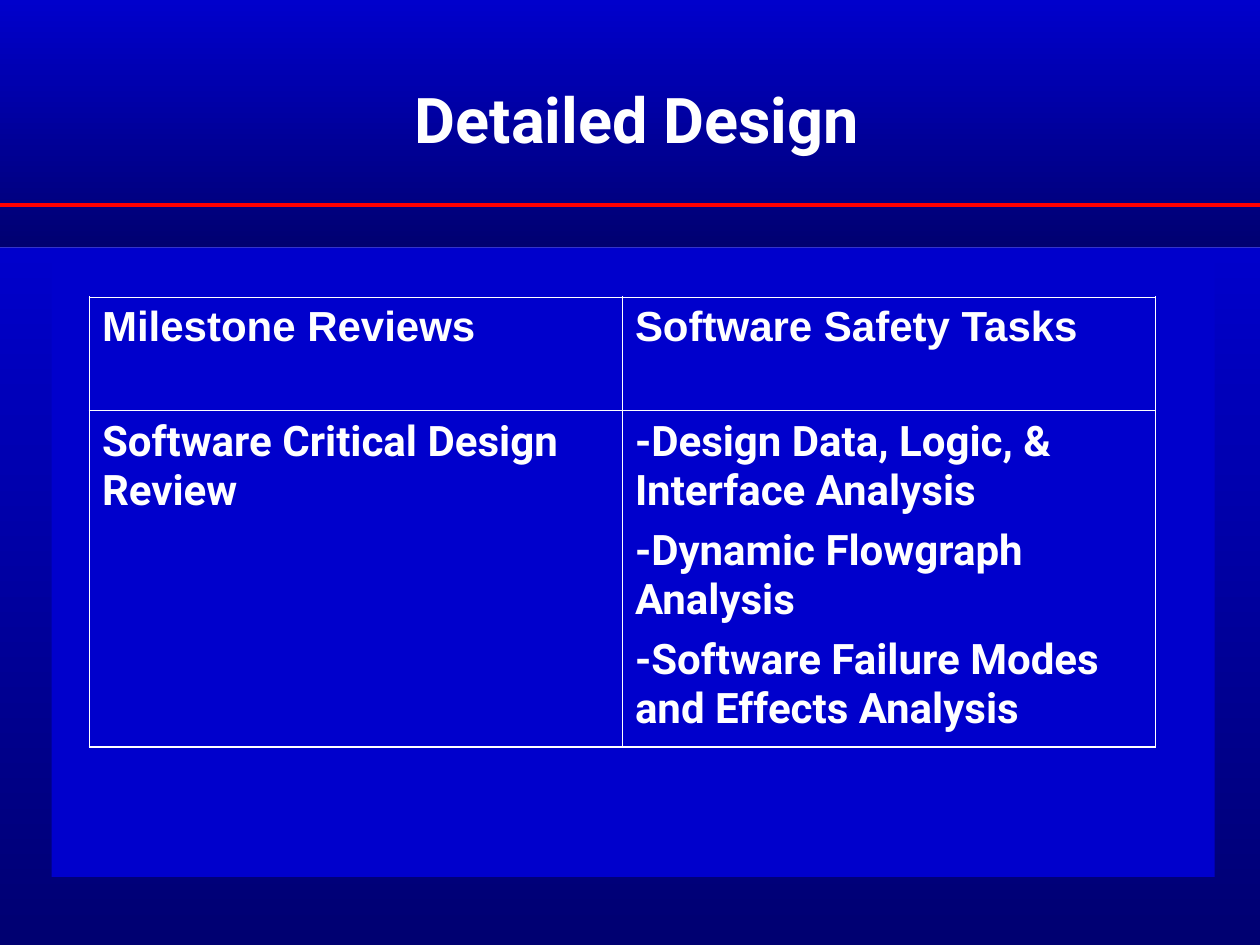
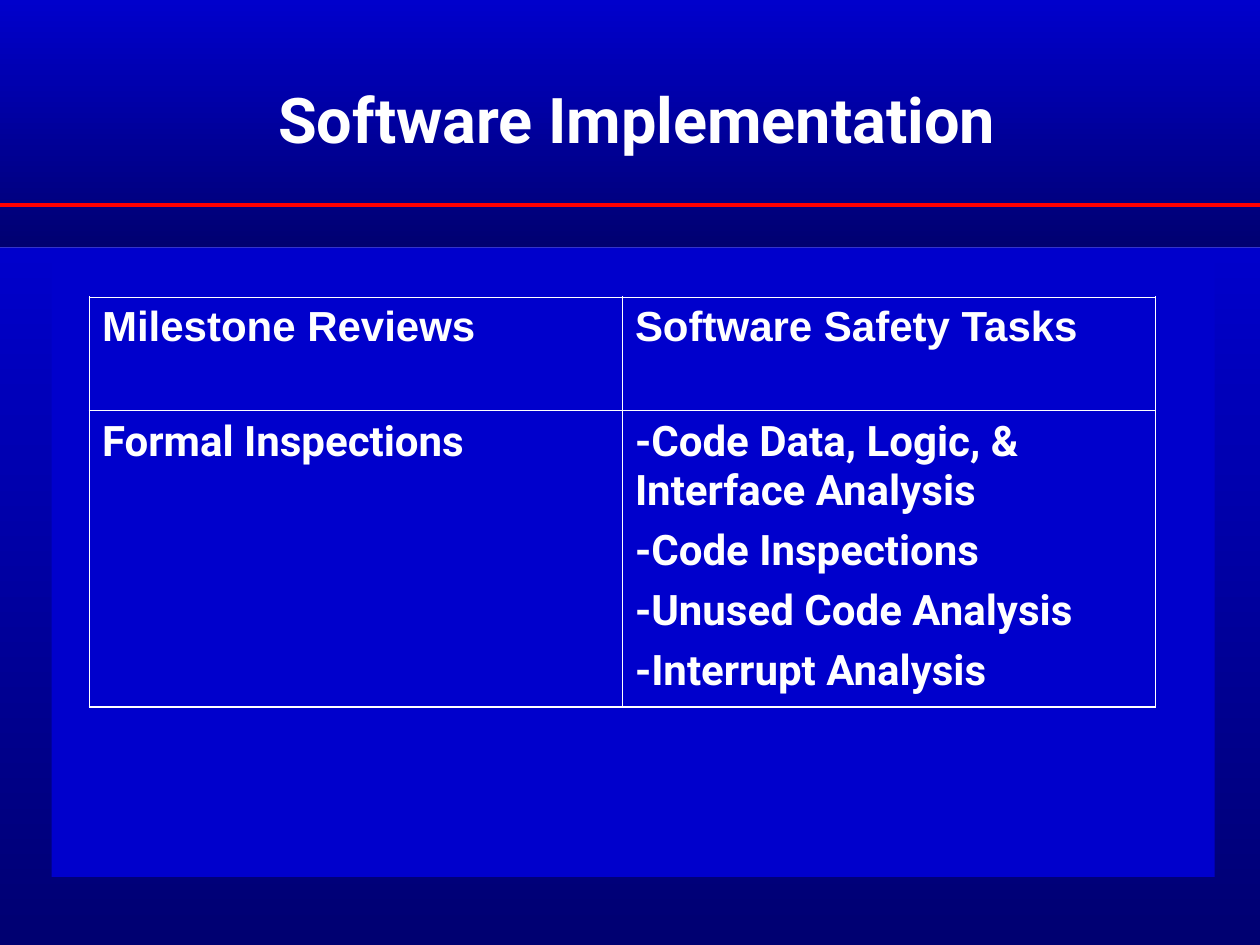
from dataclasses import dataclass

from lxml.etree import SubElement
from pptx import Presentation
from pptx.dml.color import RGBColor as Rgb
from pptx.enum.shapes import MSO_CONNECTOR as Connector, MSO_SHAPE as Preset
from pptx.enum.text import MSO_ANCHOR as Anchor, MSO_AUTO_SIZE as AutoSize, PP_ALIGN as Align
from pptx.oxml.ns import qn
from pptx.util import Inches, Pt

TITLE_ONLY = 5
COLUMNS, ROWS = 100, 75


@dataclass(frozen=True)
class Theme:
    base: str = "3333CC"
    bright: str = "0000CC"
    dark: str = "000071"
    rule: str = "FF0000"
    text: str = "FFFFFF"
    main_font: str = "Roboto"
    heading_font: str = "Arial"
    title_size: float = 36
    table_size: float = 24
    task_gap: float = 6
    rule_width: float = 2.25
    outer_border: float = 1.08
    inner_border: float = 0.45


def assign(target, values):
    for attribute, value in values.items():
        setattr(target, attribute, value)


class Deck:
    def __init__(self, theme):
        self.theme = theme
        self.deck = Presentation()
        assign(self.deck, {"slide_width": Inches(10), "slide_height": Inches(7.5)})
        self.layout = self.deck.slide_layouts[TITLE_ONLY]
        self.slide = None

    def grid(self, *lengths):
        """Turn alternating column and row counts into slide lengths."""
        units = (self.deck.slide_width / COLUMNS, self.deck.slide_height / ROWS)
        return [round(n * units[i % 2]) for i, n in enumerate(lengths)]

    def share(self, shape):
        """Move a shape to the layout, so that every slide shows it."""
        tree = self.layout.shapes.element
        shape.element.xpath(".//p:cNvPr")[0].set("id", str(len(tree) + 10))
        tree.append(shape.element)

    def band(self, place, *colors):
        """Draw a shared rectangle, graded downwards if it has two colours."""
        band = self.slide.shapes.add_shape(Preset.RECTANGLE, *self.grid(*place))
        band.shadow.inherit = False
        band.line.fill.background()
        if len(colors) == 1:
            band.fill.solid()
            band.fill.fore_color.rgb = Rgb.from_string(colors[0])
        else:
            band.fill.gradient()
            band.fill.gradient_angle = 270
            for stop, color in zip(band.fill.gradient_stops, colors):
                stop.color.rgb = Rgb.from_string(color)
        self.share(band)

    def rule(self, row):
        rule = self.slide.shapes.add_connector(
            Connector.STRAIGHT, *self.grid(0, row, COLUMNS, row))
        rule.line.color.rgb = Rgb.from_string(self.theme.rule)
        rule.line.width = Pt(self.theme.rule_width)
        SubElement(rule.element.spPr, qn("a:effectLst"))
        self.share(rule)

    def backdrop(self):
        theme = self.theme
        fill = self.layout.background.fill
        fill.solid()
        fill.fore_color.rgb = Rgb.from_string(theme.base)
        self.band((0, 0, COLUMNS, 19.6), theme.bright, theme.dark)
        self.band((0, 19.7, COLUMNS, 55.3), theme.bright, theme.dark)
        self.band((4.1, 19.8, 92.3, 49.8), theme.bright)
        self.rule(16.3)

    def add_slide(self, title):
        self.slide = self.deck.slides.add_slide(self.layout)
        if len(self.deck.slides) == 1:
            self.backdrop()
        self.title(title)

    def set_text(self, paragraph, text, font, size):
        paragraph.text = text
        assign(paragraph.font, {"name": font, "size": Pt(size), "bold": True})
        paragraph.font.color.rgb = Rgb.from_string(self.theme.text)

    def title(self, text):
        heading = self.slide.shapes.title
        place = self.grid(17.1, 3.5, 66.9, 11.7)
        assign(heading, dict(zip(("left", "top", "width", "height"), place)))
        frame = heading.text_frame
        assign(frame, {"vertical_anchor": Anchor.MIDDLE, "word_wrap": True,
                       "auto_size": AutoSize.NONE})
        paragraph = frame.paragraphs[0]
        self.set_text(paragraph, text, self.theme.main_font, self.theme.title_size)
        paragraph.alignment = Align.CENTER

    def borders(self, cell, outer_sides):
        properties = cell._tc.get_or_add_tcPr()
        for side in "LRTB":
            width = self.theme.outer_border if side in outer_sides else self.theme.inner_border
            edge = SubElement(properties, qn(f"a:ln{side}"), w=str(Pt(width)))
            fill = SubElement(edge, qn("a:solidFill"))
            SubElement(fill, qn("a:srgbClr"), val=self.theme.text)

    def review_table(self, cells, heights):
        """Fill a table from rows of cells, each a list of paragraphs."""
        table = self.slide.shapes.add_table(
            len(cells), len(cells[0]), *self.grid(7.1, 23.6, 84.6, sum(heights))).table
        assign(table, {"first_row": False, "horz_banding": False})
        for row, height in zip(table.rows, heights):
            row.height = self.grid(0, height)[1]
        for r, row in enumerate(cells):
            font = self.theme.main_font if r else self.theme.heading_font
            for c, lines in enumerate(row):
                cell = table.cell(r, c)
                self.borders(cell, ("B" if r else "T") + ("R" if c else "L"))
                cell.fill.background()
                frame = cell.text_frame
                for i, line in enumerate(lines):
                    paragraph = frame.add_paragraph() if i else frame.paragraphs[0]
                    self.set_text(paragraph, line, font, self.theme.table_size)
                    if i:
                        paragraph.space_before = Pt(self.theme.task_gap)


HEADINGS = [["Milestone Reviews"], ["Software Safety Tasks"]]
HEADING_ROWS = 9

# Phase, milestone review, safety tasks, height of the task row
PHASES = [
    ("Detailed Design", "Software Critical Design Review",
     ["-Design Data, Logic, & Interface Analysis",
      "-Dynamic Flowgraph Analysis",
      "-Software Failure Modes and Effects Analysis"], 26.7),
    ("Software Implementation", "Formal Inspections",
     ["-Code Data, Logic, & Interface Analysis",
      "-Code Inspections",
      "-Unused Code Analysis",
      "-Interrupt Analysis"], 23.5),
]


def main():
    deck = Deck(Theme())
    for phase, review, tasks, task_rows in PHASES:
        deck.add_slide(phase)
        deck.review_table([HEADINGS, [[review], tasks]], [HEADING_ROWS, task_rows])
    deck.deck.save("out.pptx")


if __name__ == "__main__":
    main()
